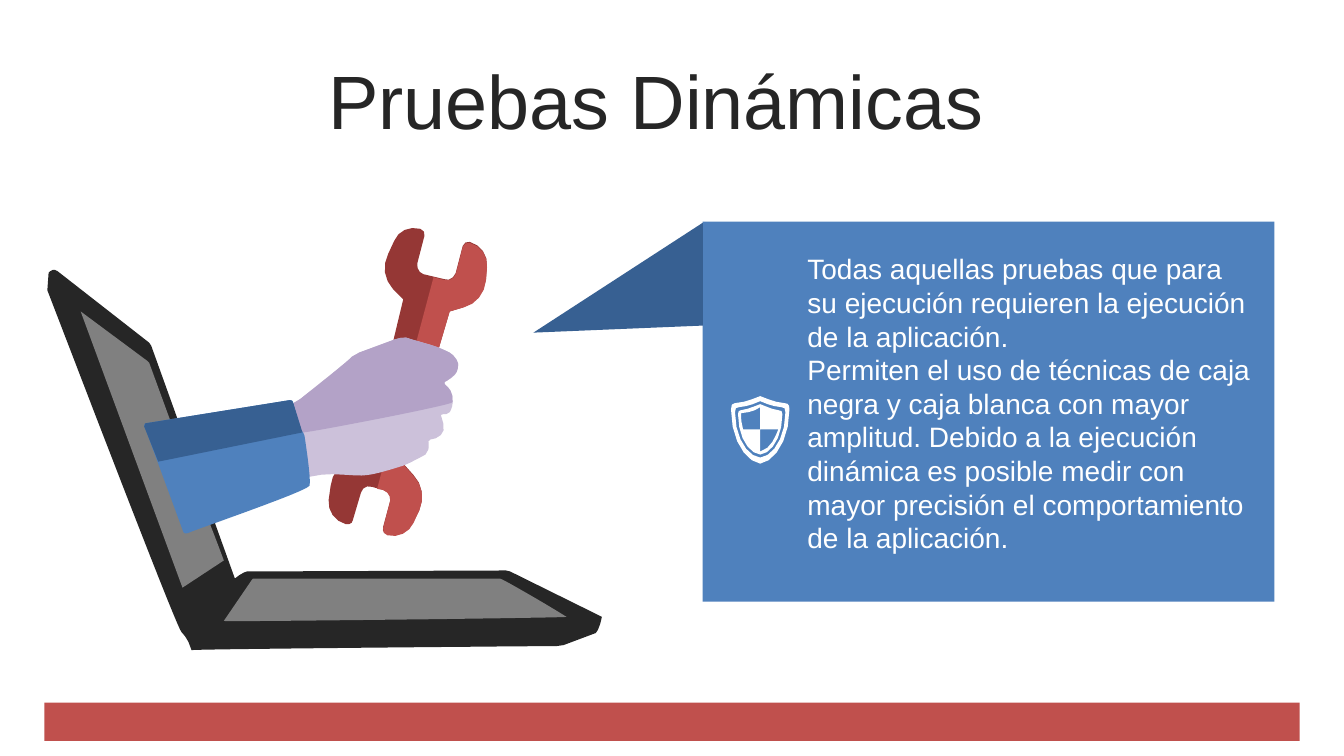
from math import ceil, hypot, sqrt

from pptx import Presentation
from pptx.dml.color import RGBColor
from pptx.enum.shapes import MSO_SHAPE
from pptx.enum.text import MSO_ANCHOR, PP_ALIGN
from pptx.util import Pt

RECTANGLE = MSO_SHAPE.RECTANGLE
MIDDLE = MSO_ANCHOR.MIDDLE
CENTER = PP_ALIGN.CENTER
PX = 9144  # 100 px to the inch
TOLERANCE = 0.6  # px between a curve and its chords

BLUE, DARK_BLUE = "4F81BD", "376092"
RED, DARK_RED = "C0504D", "953735"
BLACK, GRAY, WHITE = "262626", "808080", "FFFFFF"
LILAC, LIGHT_LILAC = "B3A2C7", "CCC1DA"


def paint(shape, color):
    shape.shadow.inherit = False
    shape.fill.solid()
    shape.fill.fore_color.rgb = RGBColor.from_string(color)
    shape.line.fill.background()


def draw_outline(shapes, outline, color):
    """Contours are split by |, segments by commas: 2 numbers are a corner, 6 a Bezier curve."""
    builder = None
    for contour in outline.split("|"):
        points = []
        for segment in contour.split(","):
            numbers = [int(number) for number in segment.split()]
            if len(numbers) == 2:
                points.append(tuple(numbers))
                continue
            x0, y0 = points[-1]
            x1, y1, x2, y2, x3, y3 = numbers
            bend = max(hypot(x0 - 2 * x1 + x2, y0 - 2 * y1 + y2),
                       hypot(x1 - 2 * x2 + x3, y1 - 2 * y2 + y3))
            steps = max(1, ceil(sqrt(0.75 * bend / TOLERANCE)))
            for step in range(1, steps + 1):
                t = step / steps
                a, b, c, d = (1 - t) ** 3, 3 * t * (1 - t) ** 2, 3 * t * t * (1 - t), t ** 3
                points.append((a * x0 + b * x1 + c * x2 + d * x3,
                               a * y0 + b * y1 + c * y2 + d * y3))
        corners = [(x * PX, y * PX) for x, y in dict.fromkeys(points)]
        if builder is None:
            builder = shapes.build_freeform(*corners[0], scale=1.0)
        else:
            builder.move_to(*corners[0])
        builder.add_line_segments(corners[1:], close=True)
    paint(builder.convert_to_shape(), color)


presentation = Presentation()
presentation.slide_width = 1333 * PX
presentation.slide_height = 750 * PX
slide = presentation.slides.add_slide(presentation.slide_layouts[6])

# Footer bar
footer_bar = slide.shapes.add_shape(RECTANGLE, 44 * PX, 697 * PX, 1245 * PX, 38 * PX)
paint(footer_bar, RED)

# Title
title = slide.shapes.add_textbox(0, 65 * PX, 1301 * PX, 79 * PX)
title.text_frame.word_wrap = True
title.text_frame.vertical_anchor = MIDDLE
paragraph = title.text_frame.paragraphs[0]
paragraph.text = "Pruebas Dinámicas"
paragraph.alignment = CENTER
paragraph.line_spacing = 0.9
paragraph.font.name = "Arial"
paragraph.font.size = Pt(54)
paragraph.font.color.rgb = RGBColor.from_string(BLACK)

# Illustration: a hand with a wrench reaching out of a laptop
wrench = (
    "390 287, 400 297, 363 451, 350 455, 338 459 329 470 328 482, 326 496,"
    "325 507 332 517 343 520, 346 521 350 519 350 516, 358 489, 359 484 364 481 369 483,"
    "380 486, 385 487 388 492 387 497, 380 523, 379 526 381 530 384 530,"
    "395 533 406 528 410 518, 416 506, 421 494 419 480 410 471, 401 461, 446 309,"
    "459 305, 472 301 480 290 482 278, 483 264, 484 253 477 243 466 240,"
    "463 239 460 241 459 244, 452 271, 450 276 445 279 441 277, 420 272,"
    "416 271 413 266 414 261, 421 234, 422 231 420 228 417 227,"
    "406 224 395 229 391 239, 385 252, 379 264 381 277 390 287")
wrench_light_side = (
    "384 531, 381 530 379 527 380 524, 387 497, 388 493 385 488 380 486, 374 485,"
    "430 275, 441 278, 446 279 451 276 452 272, 459 245, 460 242 463 240 466 241,"
    "477 244 484 254 483 265, 482 278, 481 291 472 302 460 305, 446 309, 401 462,"
    "410 472, 419 481 421 495 416 506, 410 519, 406 528 395 534 384 531")
hand = (
    "453 357, 449 351 447 350 440 347, 433 343 411 338 403 335, 399 335 396 335 391 337,"
    "364 347, 359 349 354 350 349 354, 348 356 318 380 304 391,"
    "300 394 296 398 291 400, 299 427, 307 473,"
    "320 470 329 470 342 471, 361 472 362 474 400 462, 405 460 415 455 422 451,"
    "427 446 425 440 425 438, 427 436, 432 436 439 432 440 427,"
    "440 422 440 418 438 414, 437 412 437 411 439 411, 442 411 444 411 446 409,"
    "447 408 449 403 449 400, 450 386 442 383 441 381, 441 379,"
    "442 379 453 372 453 369, 454 366 456 361 453 357")
laptop = (
    "595 611, 506 567, 502 566, 245 567, 242 568, 239 570 236 571 233 574,"
    "150 343, 148 340, 57 269, 53 267 54 267 50 269,"
    "48 270 48 271 48 274, 47 288, 48 290 175 623 180 627,"
    "183 630 185 633 187 637, 190 645, 191 644 531 641 552 641,"
    "559 640, 591 628, 593 625, 595 621 596 617 597 612")
screen = "216 540, 222 556, 181 583, 80 309, 146 358, 148 360, 167 412"
sleeve = (
    "302 432, 301 431 294 409 291 400, 291 397 289 397 287 397, 144 420,"
    "143 422, 182 528, 183 529 184 530 186 529,"
    "192 526 303 488 307 482, 309 478 303 438 302 432")
hand_shade = (
    "291 400, 296 398 300 394 304 391, 318 380 348 356 349 354, 354 350 359 349 364 347,"
    "391 337, 396 335 399 335 403 335, 411 338 433 343 440 347,"
    "447 350 449 351 453 357, 456 361 454 366 453 369, 452 372 442 379 441 379,"
    "441 381, 442 383 450 386 449 399, 449 402 302 430 301 429, 299 427")
sleeve_shade = "300 429, 157 458, 143 423, 144 420, 287 397, 289 397 290 397 291 400"
keyboard = "496 574, 498 574 543 600 562 612, 555 613 222 617 222 616, 250 575, 251 574"

illustration = slide.shapes.add_group_shape()
for outline, color in [
    (wrench, DARK_RED), (wrench_light_side, RED), (hand, LIGHT_LILAC),
    (laptop, BLACK), (screen, GRAY), (sleeve, BLUE),
    (hand_shade, LILAC), (sleeve_shade, DARK_BLUE), (keyboard, GRAY),
]:
    draw_outline(illustration.shapes, outline, color)

# Callout panel and its pointer
panel = slide.shapes.add_shape(RECTANGLE, 697 * PX, 220 * PX, 567 * PX, 377 * PX)
paint(panel, BLUE)
draw_outline(slide.shapes, "697 323, 529 330, 697 221", DARK_BLUE)

# Callout text
description = slide.shapes.add_textbox(791 * PX, 245 * PX, 463 * PX, 313 * PX)
text_frame = description.text_frame
text_frame.word_wrap = True
text_frame.text = (
    "Todas aquellas pruebas que para su ejecución requieren la ejecución de la aplicación.\n"
    "Permiten el uso de técnicas de caja negra y caja blanca con mayor amplitud. "
    "Debido a la ejecución dinámica es posible medir con mayor precisión "
    "el comportamiento de la aplicación.")
for paragraph in text_frame.paragraphs:
    paragraph.font.name = "Arial"
    paragraph.font.size = Pt(20)
    paragraph.font.color.rgb = RGBColor.from_string(WHITE)

# Shield icon: two quarters, then the edges of the inner field, ring and rim
shield = (
    "754 426, 754 448, 765 445 769 433 772 426|"
    "754 404, 748 408 744 409 735 410, 735 415 735 420 737 426, 754 426|"
    "754 401, 762 404 765 406 772 407, 775 407 776 408 776 411, 776 434 765 450 754 451,"
    "743 450 732 434 732 411, 732 408 733 407 735 407, 742 406 746 404 754 401|"
    "754 398, 745 402 741 403 733 404, 730 404 729 405 729 409, 729 435 742 453 754 454,"
    "766 453 779 435 779 409, 779 405 778 404 775 404, 767 403 763 402 754 398|"
    "754 393, 764 397 769 399 778 400, 782 400 783 402 783 406, 783 437 768 458 754 460,"
    "740 458 725 437 725 406, 725 402 726 400 729 400, 739 399 744 397 754 393")
draw_outline(slide.shapes, shield, WHITE)

presentation.save("out.pptx")
